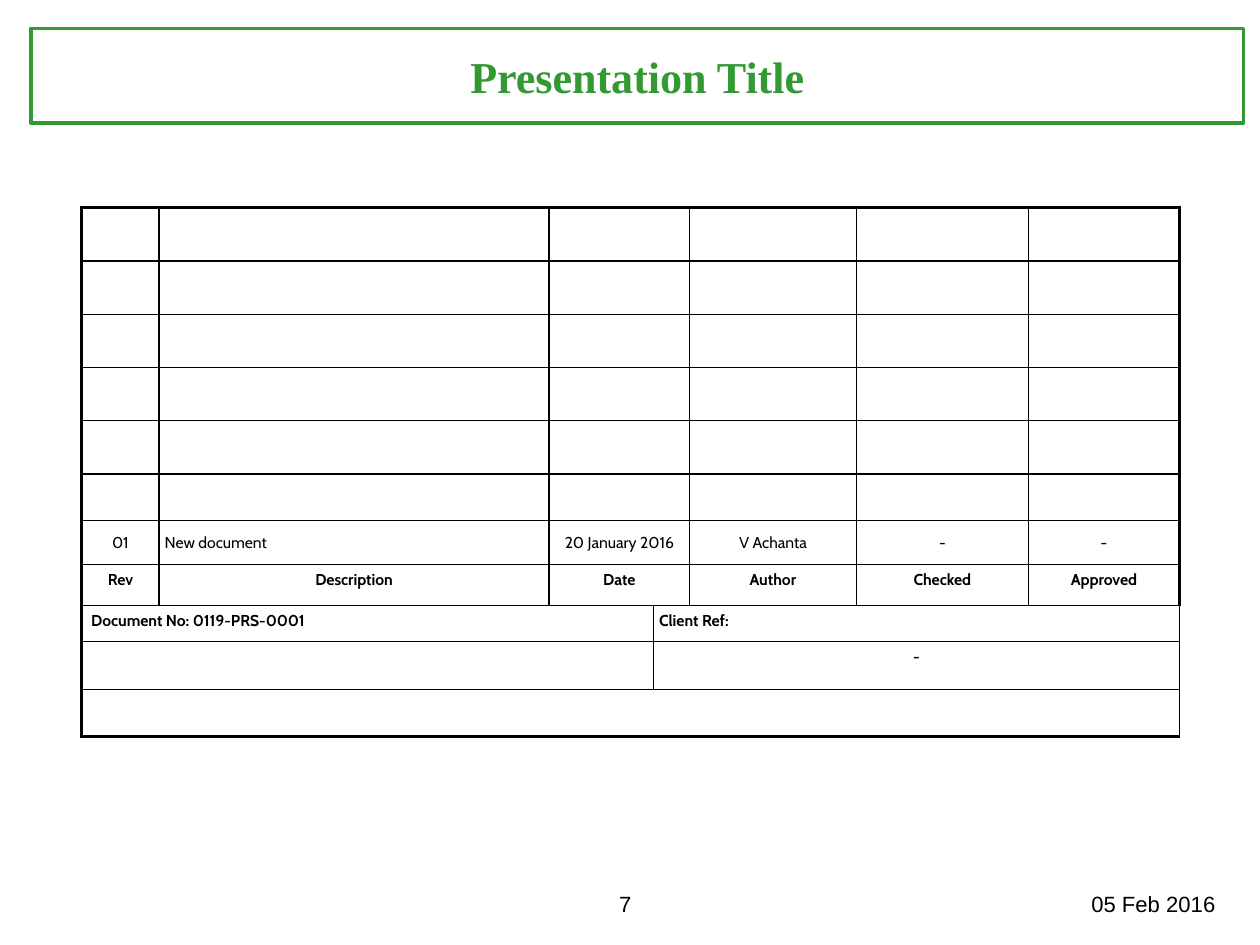
"""Build the document revision slide with its title box, revision table and footer."""
import pptx
import pptx.dml.color
import pptx.enum.text
import pptx.oxml
import pptx.oxml.ns
import pptx.util

Pt = pptx.util.Pt
RGB = pptx.dml.color.RGBColor
CENTER = pptx.enum.text.PP_ALIGN.CENTER
LEFT = pptx.enum.text.PP_ALIGN.LEFT
TOP = pptx.enum.text.MSO_ANCHOR.TOP
MIDDLE = pptx.enum.text.MSO_ANCHOR.MIDDLE


class Theme:
    green = RGB.from_string("339933")
    black = RGB.from_string("000000")
    title = {"name": "Times New Roman", "size": Pt(28), "bold": True}
    footer = {"name": "Arial", "size": Pt(14), "bold": False}
    body = {"name": "Cabin", "size": Pt(10), "bold": False}
    label = {**body, "bold": True}
    outer, inner = 2.25, 1
    cell_margin = Pt(3.6)


COLUMNS = [49, 247.7, 66.2, 23, 105.8, 109.4, 95.8]
ROWS = [33.8] * 5 + [29.5, 28.1, 25.9, 23, 30.2, 30.2]
REVISION, HEADINGS, REFERENCES, VALUES, LAST = range(6, 11)
MERGES = [(r, 2, 3) for r in range(REFERENCES)]
MERGES += [(r, *span) for r in (REFERENCES, VALUES) for span in ((0, 2), (3, 6))]
MERGES += [(LAST, 0, 6)]
USED = (0, 1, 2, 4, 5, 6)
REVISION_TEXT = ["01", "New document", "20 January 2016", "V Achanta", "-", "-"]
HEADING_TEXT = ["Rev", "Description", "Date", "Author", "Checked", "Approved"]


def set_all(obj, values):
    for name, value in values.items():
        setattr(obj, name, value)


class SlideBuilder:
    def __init__(self, prs, theme):
        self.theme = theme
        self.s = prs.slides.add_slide(prs.slide_layouts[5])

    def add_text(self, tf, text, font, color, align):
        p = tf.paragraphs[0]
        p.alignment = align
        r = p.add_run()
        r.text = text
        set_all(r.font, font)
        r.font.color.rgb = color

    def title(self, text, left, top, width, height):
        sp = self.s.shapes.title
        set_all(sp, {"left": Pt(left), "top": Pt(top), "width": Pt(width), "height": Pt(height)})
        sp.line.color.rgb = self.theme.green
        sp.line.width = Pt(self.theme.outer)
        set_all(sp.text_frame, {"vertical_anchor": MIDDLE, "word_wrap": True,
                                "auto_size": pptx.enum.text.MSO_AUTO_SIZE.NONE})
        self.add_text(sp.text_frame, text, self.theme.title, self.theme.green, CENTER)

    def text(self, text, left, top, width, height, align):
        tf = self.s.shapes.add_textbox(Pt(left), Pt(top), Pt(width), Pt(height)).text_frame
        tf.word_wrap = True
        self.add_text(tf, text, self.theme.footer, self.theme.black, align)

    def table(self, left, top, columns, rows, merges):
        frame = self.s.shapes.add_table(len(rows), len(columns), Pt(left), Pt(top),
                                        Pt(sum(columns)), Pt(sum(rows)))
        table = frame.table
        set_all(table, {"first_row": False, "horz_banding": False})
        for column, width in zip(table.columns, columns):
            column.width = Pt(width)
        for row, height in zip(table.rows, rows):
            row.height = Pt(height)
        for row, first, last in merges:
            table.cell(row, first).merge(table.cell(row, last))
        for r in range(len(rows)):
            for c in range(len(columns)):
                cell = table.cell(r, c)
                set_all(cell, {f"margin_{side}": self.theme.cell_margin
                               for side in ("left", "top", "right", "bottom")})
                cell.fill.background()
                edges = {"L": c == 0, "R": c == len(columns) - 1,
                         "T": r == 0, "B": r == len(rows) - 1}
                if cell.is_spanned:
                    edges = {side: outer for side, outer in edges.items()
                             if side in "TB" or outer}
                self.borders(cell, edges)
        return table

    def borders(self, cell, edges):
        tcPr = cell._tc.get_or_add_tcPr()
        for i, (side, outer) in enumerate(edges.items()):
            width = Pt(self.theme.outer if outer else self.theme.inner)
            tcPr.insert(i, pptx.oxml.parse_xml(
                f'<a:ln{side} {pptx.oxml.ns.nsdecls("a")} w="{width}"><a:solidFill>'
                f'<a:srgbClr val="{self.theme.black}"/></a:solidFill></a:ln{side}>'))

    def cell(self, table, row, column, text, font, align=CENTER, anchor=TOP):
        cell = table.cell(row, column)
        cell.vertical_anchor = anchor
        self.add_text(cell.text_frame, text, font, self.theme.black, align)


def main():
    prs = pptx.Presentation()
    set_all(prs, {"slide_width": Pt(800), "slide_height": Pt(600)})
    theme = Theme()
    b = SlideBuilder(prs, theme)
    b.text("05 Feb 2016", 664.6, 561.6, 135.4, 18, CENTER)
    b.text("7", 386, 561.6, 33, 24.5, LEFT)
    b.title("Presentation Title", 19.6, 18, 770, 60)

    table = b.table(52, 132, COLUMNS, ROWS, MERGES)
    for column, revision, heading in zip(USED, REVISION_TEXT, HEADING_TEXT):
        align = LEFT if heading == "Description" else CENTER
        b.cell(table, REVISION, column, revision, theme.body, align, MIDDLE)
        b.cell(table, HEADINGS, column, heading, theme.label)
    b.cell(table, REFERENCES, 0, " Document No: 0119-PRS-0001", theme.label, LEFT)
    b.cell(table, REFERENCES, 3, "Client Ref:", theme.label, LEFT)
    b.cell(table, VALUES, 3, "-", theme.label)
    prs.save("out.pptx")


if __name__ == "__main__":
    main()
